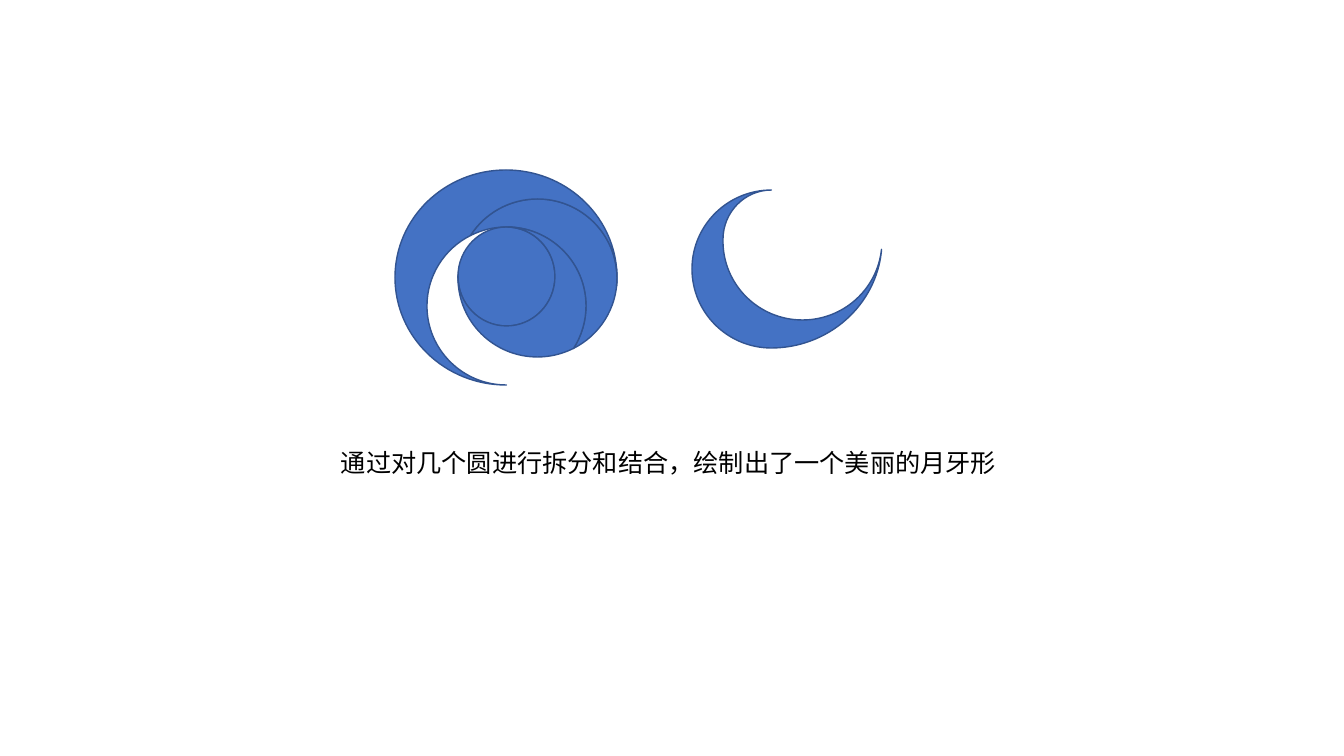
"""Build a slide that cuts four circles into pieces and joins them into a crescent moon."""
import math

from lxml import etree
from pptx import Presentation
from pptx import util as u
from pptx.dml.color import RGBColor
from pptx.enum import text
from pptx.oxml.ns import qn

PX = 914400 / 100.8
COLORS = {"fill": "4472C4", "outline": "325491", "caption": "000000"}
FONT = "Noto Sans CJK SC"

CIRCLES = {
    "outer": (0, 0, 222, 215),
    "right": (63, 29, 159, 158),
    "left": (32, 57, 159, 158),
    "inner": (63, 57, 97, 99),
}
CUT_PIECES = [
    [("right", 63.4, -147.6), ("left", 243.4, 392.4)],
    [("inner", -90, 270)],
    [("outer", 90, 356), ("right", -6, -147.6), ("left", 243.4, 90)],
    [("left", -90, 32.4), ("right", 63.4, 180), ("inner", 180, -90)],
    [("right", -6, 6), ("outer", 4, -4)],
    [("right", 180, 182), ("inner", 182, 180)],
]
MOON = [[("outer", 5, 90), ("left", 90, 270), ("inner", 270, 180), ("right", 180, 6)]]


def px(length):
    """Turn pixels into EMU."""
    return u.Emu(round(length * PX))


def rgb(name):
    """Return the named colour."""
    return RGBColor.from_string(COLORS[name])


def arc_steps(box, circle, start, end):
    """Return (anchor, controls) pairs of an arc, split at its quarter points."""
    left, top, width, height = CIRCLES[circle]

    def place(angle, pull=0):
        """Return the point at an angle, moved along the tangent by pull."""
        x = math.cos(angle) - pull * math.sin(angle)
        y = math.sin(angle) + pull * math.cos(angle)
        return (px(box[0] + left + width / 2 * (1 + x)),
                px(box[1] + top + height / 2 * (1 + y)))

    low, high = sorted((start, end))
    quarters = [turn for turn in range(-180, 451, 90) if low < turn < high]
    stops = sorted([start, *quarters, end], reverse=start > end)
    angles = [math.radians(stop) for stop in stops]
    steps = [(place(angles[0]), ())]
    for before, after in zip(angles, angles[1:]):
        pull = 4 / 3 * math.tan((after - before) / 4)
        steps.append((place(after), (place(before, pull), place(after, -pull))))
    return steps


def draw_pieces(slide, box, pieces):
    """Draw each piece as a closed outline of curved arcs within the box."""
    for arcs in pieces:
        steps = [step for arc in arcs for step in arc_steps(box, *arc)]
        builder = slide.shapes.build_freeform(*steps[0][0])
        builder.add_line_segments([anchor for anchor, _ in steps[1:]], close=True)
        piece = builder.convert_to_shape()
        segments = list(piece._element.iter(qn("a:lnTo")))
        for segment, (_, controls) in zip(segments, steps[1:]):
            if controls:
                segment.tag = qn("a:cubicBezTo")
            for index, (x, y) in enumerate(controls):
                control = etree.Element(
                    qn("a:pt"), x=str(x - piece.left), y=str(y - piece.top))
                segment.insert(index, control)
        piece.shadow.inherit = False
        piece.fill.solid()
        piece.fill.fore_color.rgb = rgb("fill")
        piece.line.color.rgb = rgb("outline")
        piece.line.width = u.Pt(1)


def draw_caption(slide, box, wording):
    """Write the caption on one line in the box."""
    caption = slide.shapes.add_textbox(*map(px, box)).text_frame
    caption.word_wrap = False
    caption.auto_size = text.MSO_AUTO_SIZE.SHAPE_TO_FIT_TEXT
    paragraph = caption.paragraphs[0]
    paragraph.text = wording
    font = paragraph.font
    font.size = u.Pt(18)
    font.name = FONT
    font.color.rgb = rgb("caption")
    properties = paragraph._p.pPr.find(qn("a:defRPr"))
    etree.SubElement(properties, qn("a:ea"), typeface=FONT)


def main():
    """Build and save the slide."""
    deck = Presentation()
    deck.slide_width, deck.slide_height = px(1344), px(756)
    slide = deck.slides.add_slide(deck.slide_layouts[6])
    draw_pieces(slide, (395, 170), CUT_PIECES)
    draw_pieces(slide, (660, 133), MOON)
    draw_caption(slide, (331, 442, 682, 40), "通过对几个圆进行拆分和结合，绘制出了一个美丽的月牙形")
    deck.save("out.pptx")


main()
